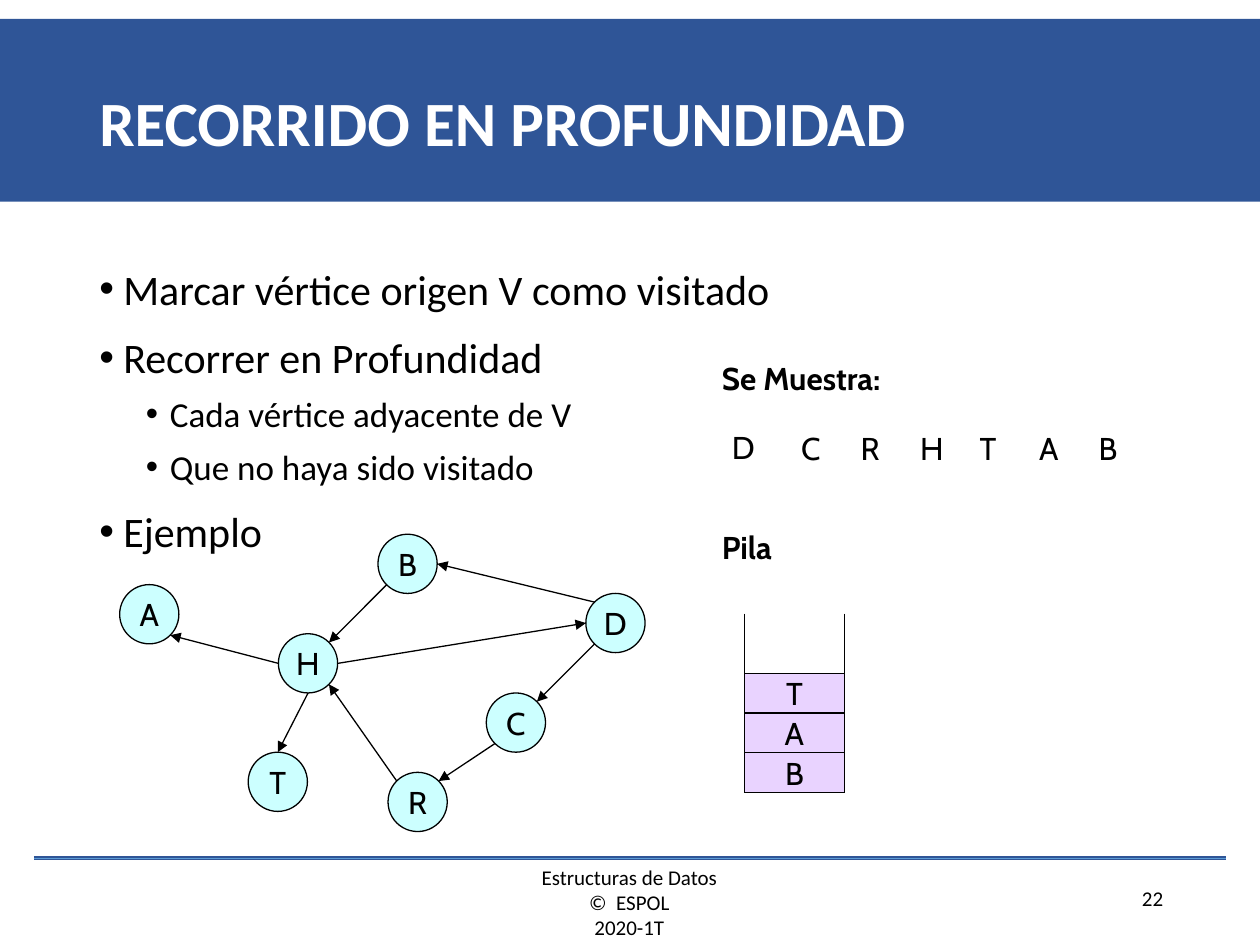
import math

import pptx
import pptx.util
from lxml import etree
from pptx.dml.color import RGBColor
from pptx.enum.shapes import MSO_CONNECTOR, MSO_SHAPE
from pptx.enum.text import MSO_ANCHOR, PP_ALIGN
from pptx.oxml.ns import qn
from pptx.util import Inches, Pt

BLACK = RGBColor(0x00, 0x00, 0x00)
WHITE = RGBColor(0xFF, 0xFF, 0xFF)
NAVY = RGBColor(0x2F, 0x55, 0x97)
SKY = RGBColor(0x5B, 0x9B, 0xD5)
CYAN = RGBColor(0xCC, 0xFF, 0xFF)
LILAC = RGBColor(0xE9, 0xD3, 0xFF)

BODY_FONT = "Calibri"
GRAPH_FONT = "Cabin"

NODE_SIZE = 0.47
# Connection sites of an ellipse, counter-clockwise from the top
TOP, TOP_LEFT, LEFT, BOTTOM_LEFT, BOTTOM, BOTTOM_RIGHT, RIGHT, TOP_RIGHT = range(8)

NODES = {
    "A": (0.95, 4.64), "T": (1.97, 5.97), "H": (2.21, 5.03), "B": (3, 4.24),
    "D": (4.65, 4.71), "C": (3.86, 5.5), "R": (3.08, 6.13),
}
EDGES = [
    ("H", LEFT, "A", BOTTOM_RIGHT),
    ("H", BOTTOM, "T", TOP),
    ("R", TOP_LEFT, "H", BOTTOM_RIGHT),
    ("C", BOTTOM_LEFT, "R", TOP_RIGHT),
    ("H", RIGHT, "D", LEFT),
    ("B", BOTTOM_LEFT, "H", TOP_RIGHT),
    ("D", TOP_LEFT, "B", RIGHT),
    ("D", BOTTOM_LEFT, "C", TOP_RIGHT),
]
BULLETS = [
    (0, "Marcar vértice origen V como visitado"),
    (0, "Recorrer en Profundidad"),
    (1, "Cada vértice adyacente de V"),
    (1, "Que no haya sido visitado"),
    (0, "Ejemplo"),
]
# Per level: font size, space before, left indent
LEVELS = [(24, 7.5, 0.19), (20, 3.7, 0.56)]

STACK_LEFT, STACK_RIGHT, STACK_TOP, STACK_FLOOR = 5.91, 6.7, 4.87, 6.29
CELL_HEIGHT = 0.315


class SlideBuilder:
    def __init__(self, slide):
        self.slide = slide

    def style(self, paragraph, size, font=BODY_FONT, color=BLACK, bold=False):
        for run in paragraph.runs:
            run.font.name = font
            run.font.size = Pt(size)
            run.font.color.rgb = color
            run.font.bold = bold

    def text(self, box, content, size, align=PP_ALIGN.LEFT, anchor=MSO_ANCHOR.TOP, **look):
        label = self.slide.shapes.add_textbox(*map(Inches, box))
        frame = label.text_frame
        frame.word_wrap = True
        frame.vertical_anchor = anchor
        frame.text = content
        for paragraph in frame.paragraphs:
            paragraph.alignment = align
            self.style(paragraph, size, **look)
        return frame

    def bullets(self, box, items):
        frame = self.text(box, "\n".join(words for _, words in items), LEVELS[0][0])
        for position, (paragraph, (level, _)) in enumerate(zip(frame.paragraphs, items)):
            size, gap, indent = LEVELS[level]
            paragraph.level = level
            paragraph.line_spacing = 1.1
            paragraph.space_before = Pt(gap if position else 0)
            properties = paragraph._p.get_or_add_pPr()
            properties.set("marL", str(Inches(indent)))
            properties.set("indent", str(-Inches(0.19)))
            etree.SubElement(properties, qn("a:buFont"), typeface="Arial")
            etree.SubElement(properties, qn("a:buChar"), char="•")
            self.style(paragraph, size)

    def shape(self, kind, box, fill, outlined=True, letter=None):
        shape = self.slide.shapes.add_shape(kind, *map(Inches, box))
        shape.shadow.inherit = False
        shape.fill.solid()
        shape.fill.fore_color.rgb = fill
        if outlined:
            shape.line.color.rgb = BLACK
            shape.line.width = Pt(0.75)
        else:
            shape.line.fill.background()
        if letter:
            frame = shape.text_frame
            frame.word_wrap = False
            frame.vertical_anchor = MSO_ANCHOR.MIDDLE
            frame.text = letter
            frame.paragraphs[0].alignment = PP_ALIGN.CENTER
            self.style(frame.paragraphs[0], 18, GRAPH_FONT)
        return shape

    def line(self, start, end, color=BLACK, width=0.75):
        line = self.slide.shapes.add_connector(
            MSO_CONNECTOR.STRAIGHT, *map(Inches, start + end))
        line.line.color.rgb = color
        line.line.width = Pt(width)
        etree.SubElement(line._element.spPr, qn("a:effectLst"))
        return line

    def edge(self, source, source_site, target, target_site):
        """Arrow glued to one of the eight sites of each node."""
        arrow = self.line(site_point(source, source_site), site_point(target, target_site))
        etree.SubElement(arrow.line._get_or_add_ln(), qn("a:tailEnd"), type="triangle")
        ends = arrow._element.nvCxnSpPr.cNvCxnSpPr
        for tag, node, site in (("a:stCxn", source, source_site),
                                ("a:endCxn", target, target_site)):
            etree.SubElement(ends, qn(tag), id=str(node.shape_id), idx=str(site))


def site_point(node, site):
    """Position in inches of a connection site on a round node."""
    angle = site * math.pi / 4
    radius = node.width / 2
    x = node.left + radius - radius * math.sin(angle)
    y = node.top + radius - radius * math.cos(angle)
    return pptx.util.Emu(x).inches, pptx.util.Emu(y).inches


def main():
    deck = pptx.Presentation()
    deck.slide_width, deck.slide_height = Inches(10), Inches(7.5)
    page = SlideBuilder(deck.slides.add_slide(deck.slide_layouts[6]))

    page.text((3.25, 6.81, 3.49, 0.7), "Estructuras de Datos\n©  ESPOL\n2020-1T", 12,
              align=PP_ALIGN.CENTER)
    page.text((7.2, 6.98, 2.13, 0.31), "22", 12, align=PP_ALIGN.RIGHT)
    for color, width in ((NAVY, 2.25), (SKY, 0.5)):
        page.line((0.27, 6.81), (9.73, 6.81), color, width)
    page.shape(MSO_SHAPE.RECTANGLE, (0, 0.15, 10, 1.45), NAVY, outlined=False)

    title = page.text((0.69, 0.4, 8.63, 1.2), "RECORRIDO EN PROFUNDIDAD", 36,
                      anchor=MSO_ANCHOR.MIDDLE, color=WHITE, bold=True)
    title.paragraphs[0].line_spacing = 0.9
    page.bullets((0.69, 2, 8.63, 4.76), BULLETS)

    nodes = {
        letter: page.shape(MSO_SHAPE.OVAL, (x, y, NODE_SIZE, NODE_SIZE), CYAN, letter=letter)
        for letter, (x, y) in NODES.items()
    }
    for source, source_site, target, target_site in EDGES:
        page.edge(nodes[source], source_site, nodes[target], target_site)

    page.text((5.63, 2.8, 1.89, 0.4), "Se Muestra:", 18, font=GRAPH_FONT, bold=True)
    page.text((5.63, 4.14, 1.42, 0.4), "Pila", 18, font=GRAPH_FONT, bold=True)

    page.text((5.71, 3.35, 0.39, 0.4), "D", 18, font=GRAPH_FONT)
    for step, letter in enumerate("CRHTAB"):
        page.text((6.26 + 0.472 * step, 3.36, 0.39, 0.4), letter, 18, font=GRAPH_FONT)

    for wall in (STACK_LEFT, STACK_RIGHT):
        page.line((wall, STACK_TOP), (wall, STACK_FLOOR))
    page.line((STACK_LEFT, STACK_FLOOR), (STACK_RIGHT, STACK_FLOOR))
    for height, letter in enumerate("BAT", start=1):
        page.shape(MSO_SHAPE.RECTANGLE,
                   (STACK_LEFT, STACK_FLOOR - CELL_HEIGHT * height,
                    STACK_RIGHT - STACK_LEFT, CELL_HEIGHT), LILAC, letter=letter)

    deck.save("out.pptx")


if __name__ == "__main__":
    main()
